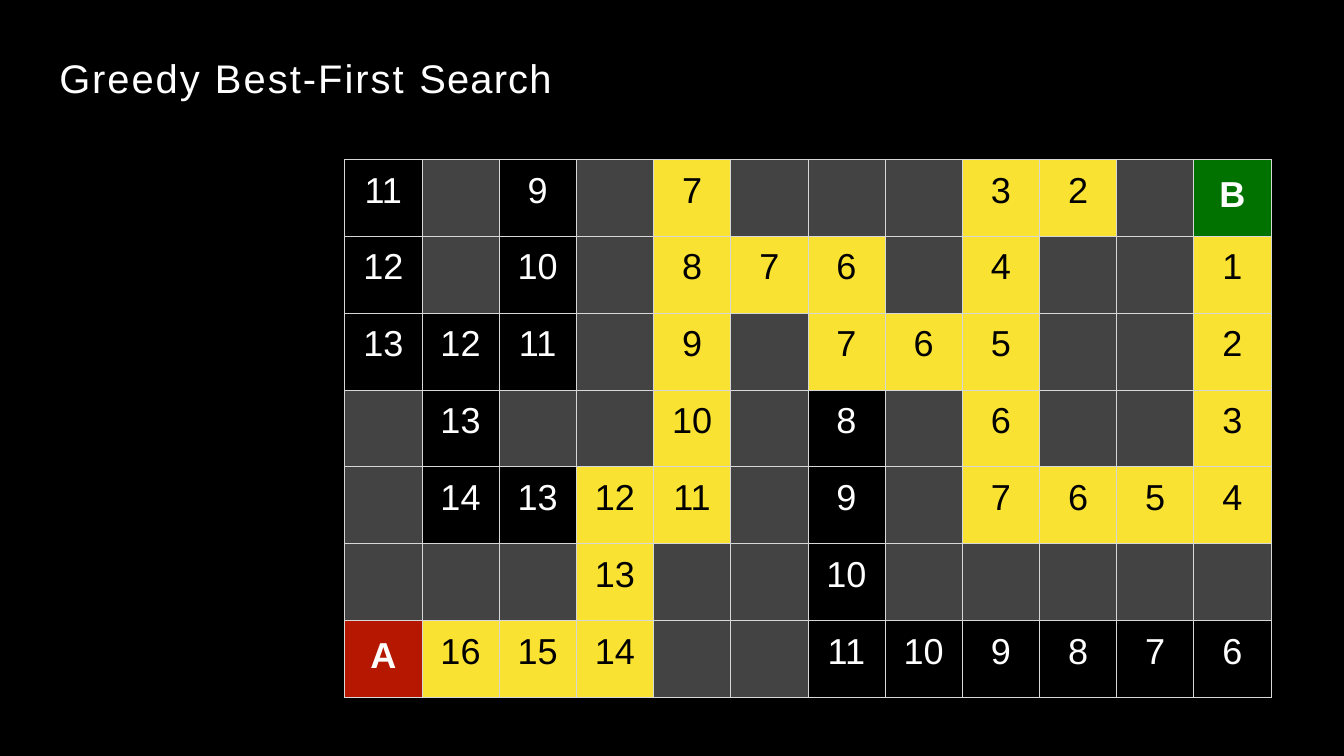
from lxml import etree
from pptx import Presentation
from pptx.dml.color import RGBColor
from pptx.enum.text import MSO_ANCHOR, PP_ALIGN
from pptx.oxml.ns import qn
from pptx.util import Pt

EMU_PER_PX = 9144  # 100 px to the inch
BLANK_LAYOUT = 6
CENTER = PP_ALIGN.CENTER
TOP = MSO_ANCHOR.TOP
FONT = "Arial"
COLORS = {
    "background": "000000",
    "wall": "434343",
    "path": "FAE232",
    "start": "B51700",
    "goal": "017100",
    "border": "D6D7D6",
    "light": "FFFFFF",
    "dark": "000000",
}

# Maze: "." is a wall, "*" marks a cell on the path taken
MAZE = [
    "11 . 9 . *7 . . . *3 *2 . B",
    "12 . 10 . *8 *7 *6 . *4 . . *1",
    "13 12 11 . *9 . *7 *6 *5 . . *2",
    ". 13 . . *10 . 8 . *6 . . *3",
    ". 14 13 *12 *11 . 9 . *7 *6 *5 *4",
    ". . . *13 . . 10 . . . . .",
    "A *16 *15 *14 . . 11 10 9 8 7 6",
]
CELL_KINDS = {".": "wall", "*": "path", "A": "start", "B": "goal"}


def px(length):
    return length * EMU_PER_PX


def style_run(run, size, color, spacing=0):
    run.font.name = FONT
    run.font.size = Pt(size)
    run.font.color.rgb = RGBColor.from_string(COLORS[color])
    run.font._element.set("spc", str(spacing))


presentation = Presentation()
presentation.slide_width = px(2199)
presentation.slide_height = px(1237)
slide = presentation.slides.add_slide(presentation.slide_layouts[BLANK_LAYOUT])
slide.background.fill.solid()
slide.background.fill.fore_color.rgb = RGBColor.from_string(COLORS["background"])

# Maze table
rows = [line.split() for line in MAZE]
table_width, table_height = px(1516), px(880)
table = slide.shapes.add_table(
    len(rows), len(rows[0]), px(564), px(261), table_width, table_height
).table
table.first_row = False
table.horz_banding = False
for column in table.columns:
    column.width = table_width // len(rows[0])
for row in table.rows:
    row.height = table_height // len(rows)

for row_index, row_values in enumerate(rows):
    for column_index, value in enumerate(row_values):
        cell = table.cell(row_index, column_index)
        kind = CELL_KINDS.get(value[0], "background")
        is_endpoint = kind in ("start", "goal")
        cell.margin_left = cell.margin_right = cell.margin_bottom = 0
        cell.margin_top = px(26 if is_endpoint else 18)
        cell.vertical_anchor = TOP

        # Number or letter
        if kind != "wall":
            cell.text_frame.text = value.lstrip("*")
            paragraph = cell.text_frame.paragraphs[0]
            paragraph.alignment = CENTER
            run = paragraph.runs[0]
            style_run(run, 42.5, "dark" if kind == "path" else "light")
            run.font.bold = is_endpoint

        # Borders come before the fill in the cell properties
        properties = cell._tc.get_or_add_tcPr()
        for side in ("a:lnL", "a:lnR", "a:lnT", "a:lnB"):
            line = etree.SubElement(properties, qn(side), w=str(Pt(1)))
            line_fill = etree.SubElement(line, qn("a:solidFill"))
            etree.SubElement(line_fill, qn("a:srgbClr"), val=COLORS["border"])
        cell.fill.solid()
        cell.fill.fore_color.rgb = RGBColor.from_string(COLORS[kind])

# Title
title = slide.shapes.add_textbox(px(97), px(86), px(807), px(81))
text_frame = title.text_frame
text_frame.word_wrap = True
text_frame.margin_left = text_frame.margin_right = text_frame.margin_bottom = 0
text_frame.margin_top = px(1)
for words, spacing in (("Greedy ", 230), ("Best-First ", 240), ("Search", 140)):
    run = text_frame.paragraphs[0].add_run()
    run.text = words
    style_run(run, 47, "light", spacing)

presentation.save("out.pptx")
